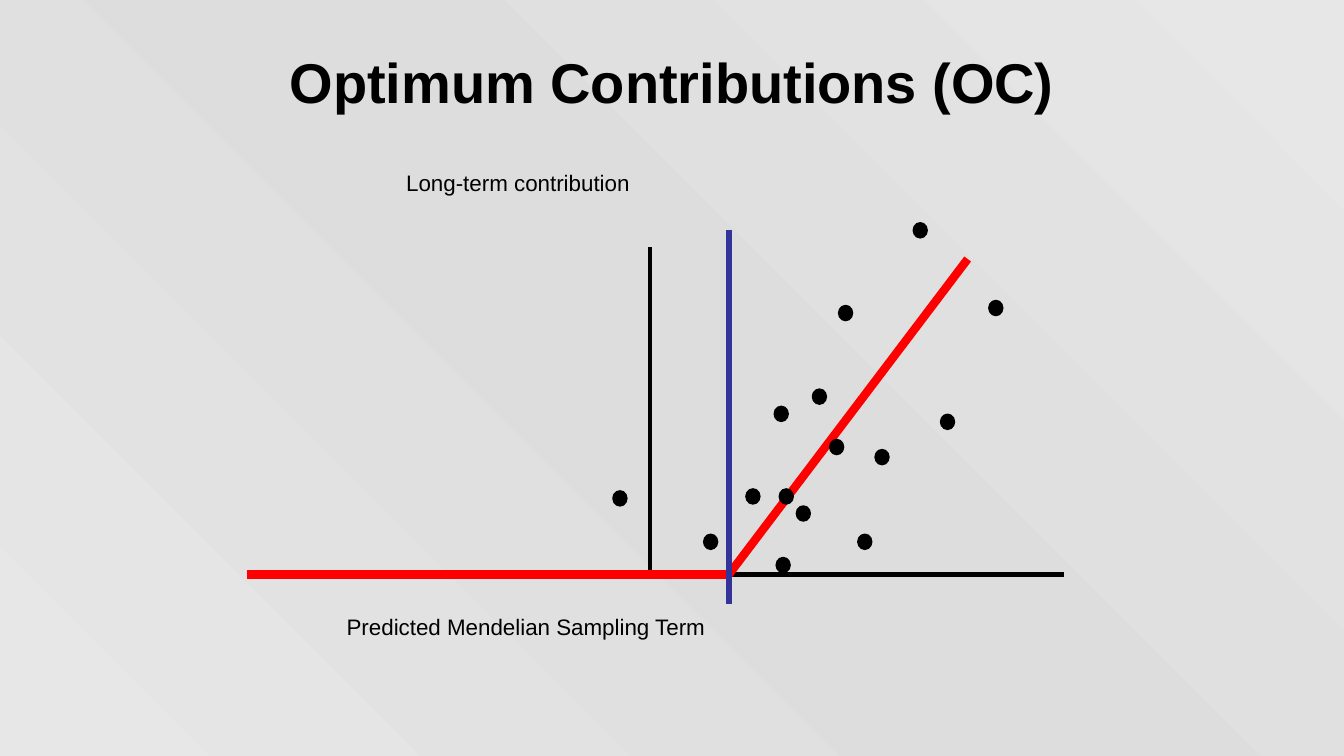
import copy

import pptx
import pptx.dml.color
import pptx.enum.shapes
import pptx.enum.text
import pptx.oxml.ns
import pptx.util

Pt = pptx.util.Pt

COLORS = {"black": "000000", "red": "FF0000", "blue": "333399", "edge": "E7E7E7", "middle": "DDDDDD"}
BACKGROUND = [(0, "edge"), (0.5, "middle"), (1, "edge")]

TITLE = "Optimum Contributions (OC)"
TITLE_FONT = {"name": "Arial", "size": Pt(40), "bold": True}
LABEL_FONT = {"name": "Arial", "size": Pt(16), "bold": False}
LABELS = [
    ("Long-term contribution", 283, 117.4, 381.6),
    ("Predicted Mendelian Sampling Term", 240.5, 434.2, 478.8),
]

BASELINE = 410.4
LEFT_END = 176.4
THRESHOLD = 520.6
ZERO = 464.4
LINES = [
    ((ZERO, 409), (ZERO, 176.4), "black", 3),
    ((LEFT_END, BASELINE), (760.3, BASELINE), "black", 3),
    ((THRESHOLD, BASELINE), (691.2, 185), "red", 6),
    ((THRESHOLD, BASELINE), (LEFT_END, BASELINE), "red", 6),
    ((THRESHOLD, 431.3), (THRESHOLD, 164.2), "blue", 4.5),
]

DOT_SIZE = (10, 10.8)
DOTS = [
    (554.4, 398.2), (502.6, 381.6), (671.8, 295.9), (599, 218.2), (706.3, 214.6),
    (652.3, 159.1), (612.7, 381.6), (437.8, 350.6), (532.8, 349.2), (568.8, 361.4),
    (580.3, 277.9), (592.6, 313.9), (625, 321.1), (556.6, 349.2), (553, 290.2),
]


def color(name):
    return pptx.dml.color.RGBColor.from_string(COLORS[name])


def set_all(target, values):
    for key, value in values.items():
        setattr(target, key, value)


def write(frame, text, font, alignment):
    para = frame.paragraphs[0]
    para.alignment = alignment
    para.space_before = Pt(0)
    span = para.add_run()
    span.text = text
    set_all(span.font, font)
    span.font.color.rgb = color("black")


def paint_background(page):
    fill = page.background.fill
    fill.gradient()
    fill.gradient_angle = 45
    stop_list = next(page.element.iter(pptx.oxml.ns.qn("a:gsLst")))
    stop_list.append(copy.deepcopy(stop_list[0]))
    for stop, (position, name) in zip(fill.gradient_stops, BACKGROUND):
        stop.position = position
        stop.color.rgb = color(name)


def add_title(page):
    title = page.shapes.title
    set_all(title, {"left": Pt(18.7), "top": Pt(21.6), "width": Pt(922.3), "height": Pt(72.7)})
    title.text_frame.vertical_anchor = pptx.enum.text.MSO_ANCHOR.MIDDLE
    write(title.text_frame, TITLE, TITLE_FONT, pptx.enum.text.PP_ALIGN.CENTER)


def add_label(page, text, left, top, width):
    box = page.shapes.add_textbox(Pt(left), Pt(top), Pt(width), Pt(26))
    set_all(box.text_frame, {
        "word_wrap": True,
        "auto_size": pptx.enum.text.MSO_AUTO_SIZE.SHAPE_TO_FIT_TEXT,
    })
    write(box.text_frame, text, LABEL_FONT, pptx.enum.text.PP_ALIGN.LEFT)


def add_line(page, start, end, name, width):
    line = page.shapes.add_connector(
        pptx.enum.shapes.MSO_CONNECTOR.STRAIGHT, *map(Pt, start + end))
    line.line.color.rgb = color(name)
    line.line.width = Pt(width)
    properties = line.element.spPr
    properties.append(properties.makeelement(pptx.oxml.ns.qn("a:effectLst"), {}))


def add_dot(page, place):
    dot = page.shapes.add_shape(
        pptx.enum.shapes.MSO_SHAPE.OVAL, *map(Pt, place + DOT_SIZE))
    dot.shadow.inherit = False
    dot.fill.solid()
    dot.fill.fore_color.rgb = color("black")
    dot.line.color.rgb = color("black")
    dot.line.width = Pt(1)


def main():
    deck = pptx.Presentation()
    set_all(deck, {"slide_width": Pt(960), "slide_height": Pt(540)})
    page = deck.slides.add_slide(deck.slide_layouts[5])
    paint_background(page)
    add_title(page)
    for label in LABELS:
        add_label(page, *label)
    for line in LINES:
        add_line(page, *line)
    for place in DOTS:
        add_dot(page, place)
    deck.save("out.pptx")


if __name__ == "__main__":
    main()
